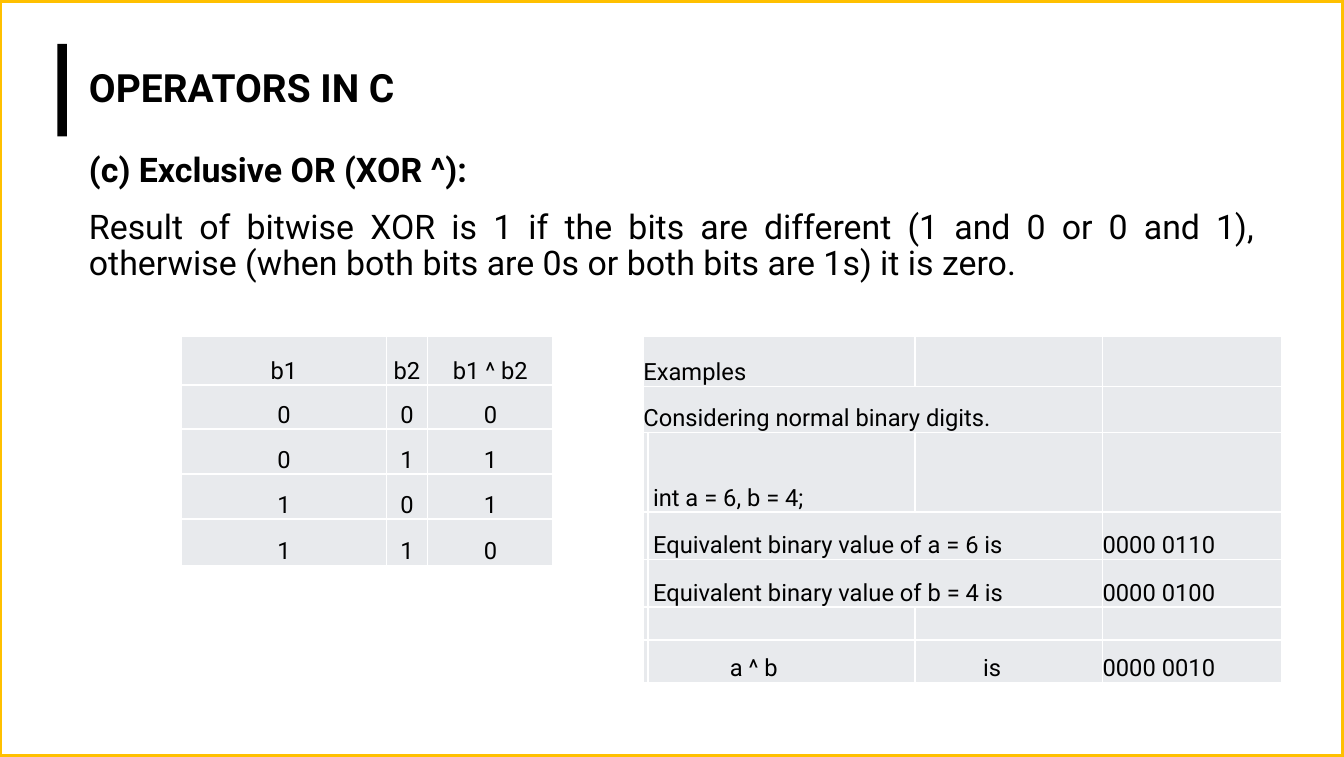
from lxml import etree
from pptx import Presentation, util as u
from pptx.dml.color import RGBColor
from pptx.enum import shapes, text
from pptx.oxml import ns

PX = 9144  # EMU; 100 px to the inch
FONT = "Roboto"
BLACK = RGBColor(0x00, 0x00, 0x00)
WHITE = RGBColor(0xFF, 0xFF, 0xFF)
GOLD = RGBColor(0xFF, 0xC0, 0x00)
GREY = RGBColor(0xE8, 0xEA, 0xED)

PAGE = (0, 0, 1103, 621)
HEADER = (47, 36, 578, 76)
BODY = (63, 121, 977, 477)

TRUTH_COLUMNS = [168, 34, 103]
TRUTH_HEIGHTS = [40, 36, 37, 37, 38]
TRUTH_ROWS = [["b1", "b2", "b1 ^ b2"]] + [
    [str(b1), str(b2), str(b1 ^ b2)] for b1 in (0, 1) for b2 in (0, 1)]

EXAMPLE_COLUMNS = [3, 219, 154, 147]
EXAMPLE_HEIGHTS = [41, 38, 65, 39, 39, 27, 35]
EXAMPLE_ROWS = [
    ["Examples", "", "", ""],
    ["Considering normal binary digits.", "", "", ""],
    ["", "int a = 6, b = 4;", "", ""],
    ["", "Equivalent binary value of a = 6 is", "", "0000 0110"],
    ["", "Equivalent binary value of b = 4 is", "", "0000 0100"],
    ["", "", "", ""],
    ["", "a ^ b", "is", "0000 0010"],
]
EXAMPLE_SPANS = [(0, 0, 1), (1, 0, 2), (3, 1, 2), (4, 1, 2)]  # row, first, last
EXAMPLE_INDENTS = {(2, 1): 4, (3, 1): 4, (4, 1): 4, (6, 1): 67, (6, 2): 56}


def place(shape, box):
    shape.left, shape.top, shape.width, shape.height = [side * PX for side in box]


def style_font(para, size, bold=False):
    font = para.font
    font.name, font.size, font.bold = FONT, u.Pt(size), bold
    font.color.rgb = BLACK


def add_rectangle(page, box, fill):
    rectangle = page.shapes.add_shape(
        shapes.MSO_SHAPE.RECTANGLE, *[side * PX for side in box])
    rectangle.shadow.inherit = False
    rectangle.fill.solid()
    rectangle.fill.fore_color.rgb = fill
    rectangle.line.fill.background()
    return rectangle


def add_frame(page, box):
    """Put the gold-edged panel behind everything else."""
    frame = add_rectangle(page, box, WHITE)
    frame.line.color.rgb = GOLD
    frame.line.width = u.Pt(3)
    page.shapes.title.element.addprevious(frame.element)


def add_header(page, box, wording):
    left, top, width, height = box
    add_rectangle(page, (left, top, 8, height), BLACK)
    title = page.shapes.title
    place(title, (left + 16, top, width - 16, height))
    title.text_frame.text = wording
    title.text_frame.auto_size = text.MSO_AUTO_SIZE.NONE
    title.text_frame.vertical_anchor = text.MSO_ANCHOR.MIDDLE
    para = title.text_frame.paragraphs[0]
    para.alignment = text.PP_ALIGN.LEFT
    para.line_spacing = 0.9
    style_font(para, 23, bold=True)


def fill_body(page, box, heading, explanation):
    body = page.placeholders[1]
    place(body, box)
    frame = body.text_frame
    frame.text = f"{heading}\n{explanation}"
    frame.auto_size = text.MSO_AUTO_SIZE.NONE
    for para, bold in zip(frame.paragraphs, (True, False)):
        properties = para._p.get_or_add_pPr()
        properties.set("marL", "0")
        properties.set("indent", "0")
        etree.SubElement(properties, ns.qn("a:buNone"))
        para.alignment = text.PP_ALIGN.JUSTIFY
        para.line_spacing = 0.9
        para.space_before = u.Pt(0)
        para.space_after = u.Pt(11.6)
        style_font(para, 20, bold)


def add_borders(cell):
    properties = cell._tc.get_or_add_tcPr()
    for side in "LRTB":
        line = etree.SubElement(properties, ns.qn(f"a:ln{side}"), w=str(u.Pt(1)))
        fill = etree.SubElement(line, ns.qn("a:solidFill"))
        etree.SubElement(fill, ns.qn("a:srgbClr"), val=str(WHITE))


def format_cell(cell, wording, align, indent):
    add_borders(cell)
    cell.fill.solid()
    cell.fill.fore_color.rgb = GREY
    cell.margin_left = indent * PX
    cell.margin_right = cell.margin_top = cell.margin_bottom = 0
    cell.vertical_anchor = text.MSO_ANCHOR.BOTTOM
    cell.text_frame.text = wording
    para = cell.text_frame.paragraphs[0]
    if wording:
        para.alignment = align
        para.line_spacing = 1.15
        para.space_after = u.Pt(10)
    style_font(para, 14)


def add_grid(page, corner, columns, heights, rows, align, spans=(), indents={}):
    box = (*corner, sum(columns), sum(heights))
    table = page.shapes.add_table(
        len(rows), len(columns), *[side * PX for side in box]).table
    table.first_row = table.horz_banding = False
    for column, width in zip(table.columns, columns):
        column.width = width * PX
    for row, height in zip(table.rows, heights):
        row.height = height * PX
    for r, row in enumerate(rows):
        for c, wording in enumerate(row):
            format_cell(table.cell(r, c), wording, align, indents.get((r, c), 0))
    for r, first, last in spans:
        table.cell(r, first).merge(table.cell(r, last))


def main():
    deck = Presentation()
    deck.slide_width, deck.slide_height = PAGE[2] * PX, PAGE[3] * PX
    page = deck.slides.add_slide(deck.slide_layouts[1])
    add_frame(page, PAGE)
    add_header(page, HEADER, "OPERATORS IN C")
    fill_body(
        page, BODY, "(c) Exclusive OR (XOR ^):",
        "Result of bitwise XOR is 1 if the bits are different (1 and 0 or 0 and 1), "
        "otherwise (when both bits are 0s or both bits are 1s) it is zero.")
    add_grid(page, (149, 276), TRUTH_COLUMNS, TRUTH_HEIGHTS, TRUTH_ROWS,
             text.PP_ALIGN.CENTER)
    add_grid(page, (528, 276), EXAMPLE_COLUMNS, EXAMPLE_HEIGHTS, EXAMPLE_ROWS,
             text.PP_ALIGN.LEFT, EXAMPLE_SPANS, EXAMPLE_INDENTS)
    deck.save("out.pptx")


if __name__ == "__main__":
    main()
